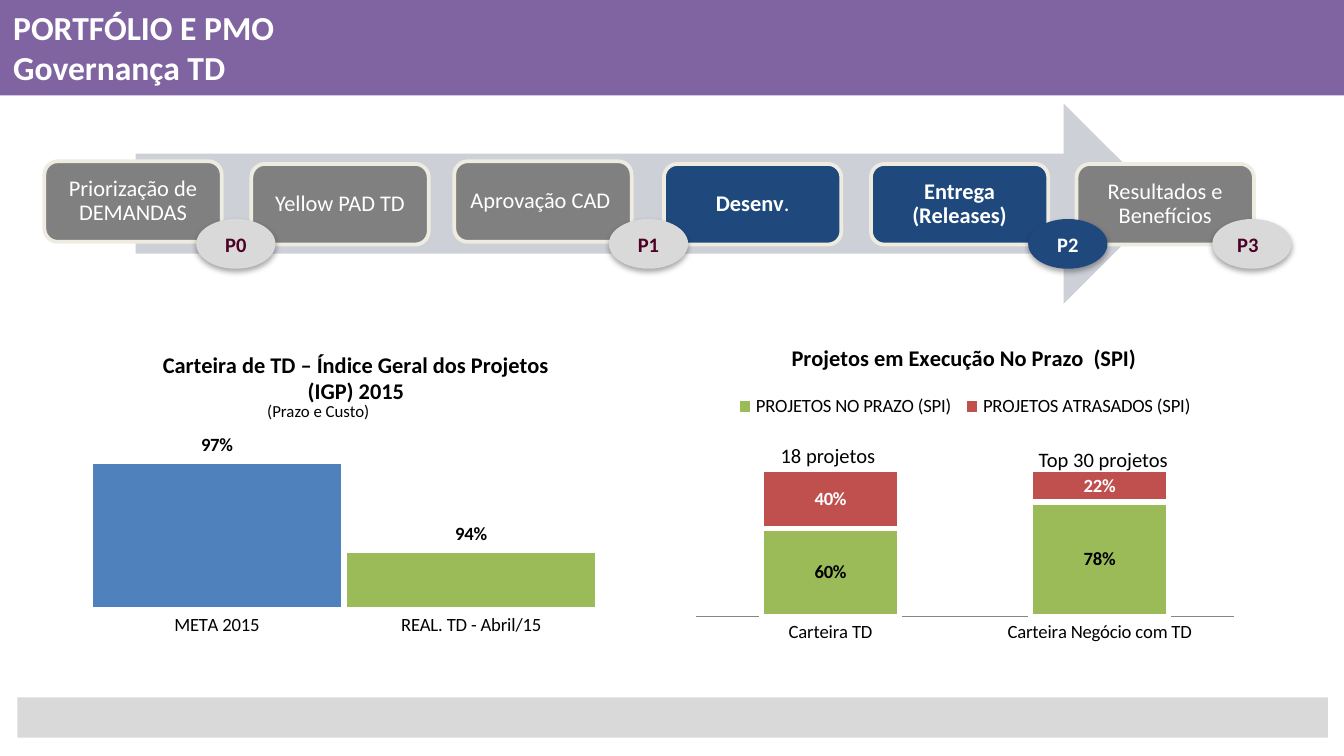
from dataclasses import dataclass
from typing import Optional

from lxml.etree import SubElement
from pptx import Presentation
from pptx.chart.chart import Chart
from pptx.chart.data import CategoryChartData
from pptx.dml.color import RGBColor
from pptx.enum.chart import XL_CHART_TYPE, XL_LABEL_POSITION, XL_LEGEND_POSITION, XL_TICK_MARK
from pptx.enum.shapes import MSO_SHAPE
from pptx.enum.text import MSO_ANCHOR, PP_ALIGN
from pptx.oxml.ns import qn
from pptx.util import Inches, Pt

CELL = Inches(0.1)  # the grid has 100 columns and 56.25 rows
COLUMNS, ROWS = 100, 56.25
FONT = "Calibri"

WHITE = RGBColor(0xFF, 0xFF, 0xFF)
BLACK = RGBColor(0, 0, 0)
PURPLE = RGBColor(0x80, 0x64, 0xA2)
SILVER = RGBColor(0xD9, 0xD9, 0xD9)
ARROW_GRAY = RGBColor(0xCD, 0xD0, 0xD7)
GRAY = RGBColor(0x80, 0x80, 0x80)
AXIS_GRAY = RGBColor(0x86, 0x86, 0x86)
CREAM = RGBColor(0xEE, 0xEC, 0xE1)
NAVY = RGBColor(0x1F, 0x49, 0x7D)
WINE = RGBColor(0x4C, 0x00, 0x26)
BLUE = RGBColor(0x4F, 0x81, 0xBD)
GREEN = RGBColor(0x9B, 0xBB, 0x59)
RED = RGBColor(0xC0, 0x50, 0x4D)


@dataclass
class Area:
    """A rectangle in grid columns and rows."""
    left: float
    top: float
    width: float
    height: float

    def lengths(self) -> list[int]:
        return [round(n * CELL) for n in (self.left, self.top, self.width, self.height)]


@dataclass
class Stage:
    left: float
    top: float
    label: str
    active: bool = False
    plain_ending: str = ""


@dataclass
class Gate:
    left: float
    label: str
    fill: RGBColor = SILVER
    color: RGBColor = WINE
    align: PP_ALIGN = PP_ALIGN.CENTER


@dataclass
class Series:
    name: str
    values: tuple[float, ...]
    fill: RGBColor
    label_color: RGBColor = BLACK


STAGES = [
    Stage(3.3, 12, "Priorização de DEMANDAS"),
    Stage(18.7, 12.2, "Yellow PAD TD"),
    Stage(33.8, 12, "Aprovação CAD "),
    Stage(49.4, 12.2, "Desenv", active=True, plain_ending="."),
    Stage(64.8, 12.2, "Entrega (Releases)", active=True),
    Stage(80.1, 12.2, "Resultados e Benefícios"),
]
GATES = [
    Gate(14.6, "P0"),
    Gate(45.3, "P1"),
    Gate(76.5, "P2", NAVY, WHITE),
    Gate(90.2, "P3", align=PP_ALIGN.LEFT),
]


def write(frame, *lines: str, size: float, color: RGBColor = BLACK, bold: bool = False,
          align: PP_ALIGN = PP_ALIGN.LEFT, spacing: Optional[float] = None,
          plain_ending: str = "") -> None:
    """Fill a text frame, one paragraph a line; plain_ending closes it in regular weight."""
    for number, line in enumerate(lines):
        paragraph = frame.add_paragraph() if number else frame.paragraphs[0]
        paragraph.alignment = align
        if spacing:
            paragraph.line_spacing = spacing
        for part, weight in ((line, bold), (plain_ending, False)):
            if part:
                run = paragraph.add_run()
                run.text = part
                run.font.name, run.font.size = FONT, Pt(size)
                run.font.bold, run.font.color.rgb = weight, color


def add_block(slide, kind: MSO_SHAPE, area: Area, fill: RGBColor, outline: Optional[RGBColor] = None,
              anchor: MSO_ANCHOR = MSO_ANCHOR.MIDDLE):
    block = slide.shapes.add_shape(kind, *area.lengths())
    block.shadow.inherit = False
    block.fill.solid()
    block.fill.fore_color.rgb = fill
    if outline is None:
        block.line.fill.background()
    else:
        block.line.color.rgb, block.line.width = outline, Pt(2)
    block.text_frame.word_wrap = True
    block.text_frame.vertical_anchor = anchor
    return block


def add_caption(slide, area: Area, text: str, size: float) -> None:
    frame = slide.shapes.add_textbox(*area.lengths()).text_frame
    frame.word_wrap = False
    write(frame, text, size=size)


def add_stage(slide, stage: Stage) -> None:
    card = add_block(slide, MSO_SHAPE.ROUNDED_RECTANGLE, Area(stage.left, stage.top, 13.2, 6),
                     NAVY if stage.active else GRAY, CREAM)
    frame = card.text_frame
    frame.margin_left = frame.margin_right = frame.margin_top = frame.margin_bottom = Inches(0.05)
    write(frame, stage.label, size=12, color=WHITE, bold=stage.active, align=PP_ALIGN.CENTER,
          spacing=0.9, plain_ending=stage.plain_ending)


def add_gate(slide, gate: Gate) -> None:
    oval = add_block(slide, MSO_SHAPE.OVAL, Area(gate.left, 16.3, 5.9, 3.7), gate.fill)
    effects = oval.element.spPr.find(qn("a:effectLst"))
    shadow = SubElement(effects, qn("a:outerShdw"), blurRad=str(Pt(3.1)), dist=str(Pt(1.8)),
                        dir="5400000", rotWithShape="0")
    SubElement(SubElement(shadow, qn("a:srgbClr"), val="000000"), qn("a:alpha"), val="35000")
    write(oval.text_frame, gate.label, size=11, color=gate.color, bold=True, align=gate.align)


def set_layout(part, x: float, y: float, w: Optional[float] = None, h: Optional[float] = None,
               inner: bool = False) -> None:
    """Place a chart part by shares of the chart's size."""
    layout = part.find(qn("c:layout"))
    if layout is None:
        layout = part.makeelement(qn("c:layout"))
        before = part.find(qn("c:tx"))
        if before is None:
            before = part.find(qn("c:legendPos"))
        part.insert(0 if before is None else part.index(before) + 1, layout)
    manual = SubElement(layout, qn("c:manualLayout"))
    if inner:
        SubElement(manual, qn("c:layoutTarget"), val="inner")
    for mode in ("xMode", "yMode"):
        SubElement(manual, qn(f"c:{mode}"), val="edge")
    for name, share in zip("xywh", (x, y, w, h)):
        if share is not None:
            SubElement(manual, qn(f"c:{name}"), val=str(share))


def add_columns(slide, area: Area, kind: XL_CHART_TYPE, title: str, categories: list[str],
                series: list[Series], limits: tuple[float, float], gap: int,
                label_position: XL_LABEL_POSITION, title_shares: tuple[float, float],
                plot_shares: tuple[float, ...]) -> Chart:
    data = CategoryChartData(number_format="0%")
    data.categories = categories
    for entry in series:
        data.add_series(entry.name, entry.values)
    chart = slide.shapes.add_chart(kind, *area.lengths(), data).chart
    chart.font.name, chart.font.size, chart.font.color.rgb = FONT, Pt(12), BLACK
    chart.has_legend = False
    write(chart.chart_title.text_frame, title, size=12, bold=True, align=PP_ALIGN.CENTER)
    chart.chart_title.include_in_layout = False
    chart.value_axis.visible = False
    chart.value_axis.has_major_gridlines = False
    chart.value_axis.minimum_scale, chart.value_axis.maximum_scale = limits
    chart.category_axis.major_tick_mark = XL_TICK_MARK.NONE
    chart.category_axis.tick_labels.font.size = Pt(10)
    chart.category_axis.format.line.color.rgb = AXIS_GRAY
    plot = chart.plots[0]
    plot.gap_width, plot.vary_by_categories = gap, False
    for bars, entry in zip(plot.series, series):
        bars.format.fill.solid()
        bars.format.fill.fore_color.rgb = entry.fill
        bars.format.line.color.rgb, bars.format.line.width = WHITE, Pt(3)
        labels = bars.data_labels
        labels.show_value, labels.position = True, label_position
        labels.number_format, labels.number_format_is_linked = "0%", False
        labels.font.size, labels.font.bold, labels.font.color.rgb = Pt(10), True, entry.label_color
    set_layout(chart.chart_title._element, *title_shares)
    set_layout(chart.element.chart.plotArea, *plot_shares, inner=True)
    return chart


def add_schedule_chart(slide) -> None:
    chart = add_columns(
        slide, Area(50.5, 24.2, 42.6, 25.2), XL_CHART_TYPE.COLUMN_STACKED,
        "Projetos em Execução No Prazo  (SPI)", ["Carteira TD", "Carteira Negócio com TD"],
        [Series("PROJETOS NO PRAZO (SPI)", (0.6, 0.78), GREEN),
         Series("PROJETOS ATRASADOS (SPI)", (0.4, 0.22), RED, WHITE)],
        (0, 1.2), 95, XL_LABEL_POSITION.CENTER, (0.19, 0.04), (0.03, 0.34, 0.94, 0.52))
    chart.plots[0].overlap = 100
    chart.has_legend = True
    chart.legend.position = XL_LEGEND_POSITION.TOP
    chart.legend.include_in_layout = False
    chart.legend.font.size = Pt(10)
    set_layout(chart.legend._element, 0.09, 0.2, 0.82, 0.08)
    add_caption(slide, Area(57.1, 32.5, 9.3, 2.9), "18 projetos", 11)
    add_caption(slide, Area(76.3, 32.8, 12.2, 2.9), "Top 30 projetos", 11)


def add_index_chart(slide) -> None:
    chart = add_columns(
        slide, Area(5.9, 25.7, 39.4, 22.1), XL_CHART_TYPE.COLUMN_CLUSTERED,
        "Carteira de TD – Índice Geral dos Projetos (IGP) 2015", ["META 2015", "REAL. TD - Abril/15"],
        [Series("IGP", (0.97, 0.94), BLUE)],
        (0.92, 0.98), 0, XL_LABEL_POSITION.OUTSIDE_END, (0.15, 0), (0.02, 0.29, 0.96, 0.6))
    chart.category_axis.format.line.fill.background()
    actual = chart.plots[0].series[0].points[1].format
    actual.fill.solid()
    actual.fill.fore_color.rgb = GREEN
    actual.line.color.rgb, actual.line.width = WHITE, Pt(3)
    add_caption(slide, Area(18.9, 29.3, 10.6, 2.5), "(Prazo e Custo)", 9)


def main() -> None:
    deck = Presentation()
    deck.slide_width, deck.slide_height = COLUMNS * CELL, round(ROWS * CELL)
    slide = deck.slides.add_slide(deck.slide_layouts[6])
    header = add_block(slide, MSO_SHAPE.RECTANGLE, Area(0, 0, COLUMNS, 7.1), PURPLE, anchor=MSO_ANCHOR.TOP)
    write(header.text_frame, "PORTFÓLIO E PMO", "Governança TD", size=18, color=WHITE, bold=True)
    add_schedule_chart(slide)
    add_index_chart(slide)
    add_block(slide, MSO_SHAPE.RIGHT_ARROW, Area(10.1, 7.7, 76.5, 14.9), ARROW_GRAY)
    for stage in STAGES:
        add_stage(slide, stage)
    for gate in GATES:
        add_gate(slide, gate)
    add_block(slide, MSO_SHAPE.RECTANGLE, Area(1.3, 51.9, 97.5, 3), SILVER)
    deck.save("out.pptx")


if __name__ == "__main__":
    main()
